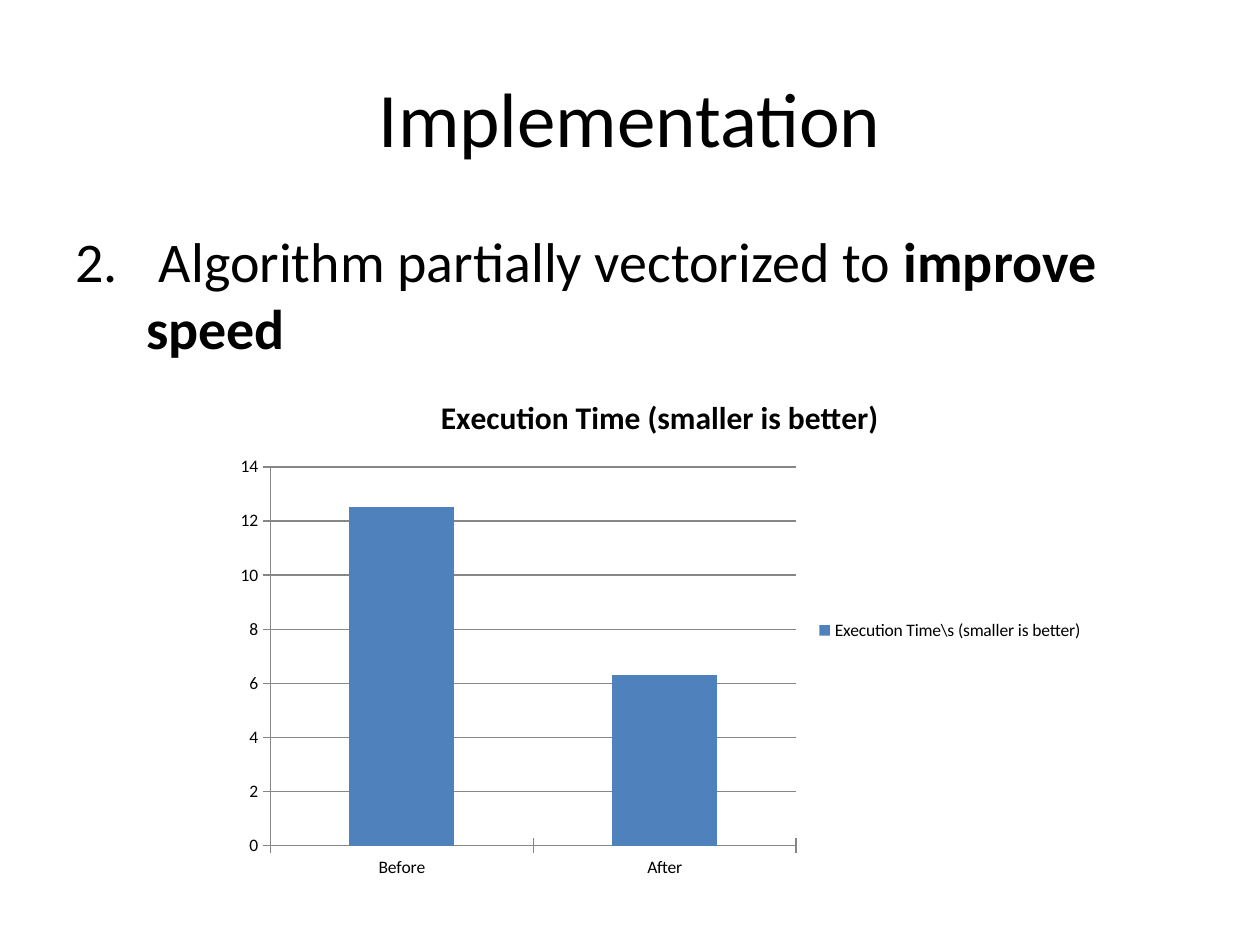
from pptx import Presentation
from pptx.chart.data import CategoryChartData
from pptx.dml.color import RGBColor
from pptx.enum.chart import XL_CHART_TYPE, XL_LEGEND_POSITION, XL_TICK_MARK
from pptx.enum.text import MSO_ANCHOR, PP_ALIGN
from pptx.util import Pt
from lxml import etree

COLUMN = XL_CHART_TYPE.COLUMN_CLUSTERED
RIGHT = XL_LEGEND_POSITION.RIGHT
CROSS = XL_TICK_MARK.CROSS
MIDDLE = MSO_ANCHOR.MIDDLE
TOP = MSO_ANCHOR.TOP
CENTER = PP_ALIGN.CENTER
LEFT = PP_ALIGN.LEFT

FONT = "Calibri"
COLORS = {"text": "000000", "bar": "4F81BD", "axis": "868686"}
A = "{http://schemas.openxmlformats.org/drawingml/2006/main}"


class Deck:
    def __init__(self, width, height):
        self.prs = Presentation()
        self.prs.slide_width, self.prs.slide_height = Pt(width), Pt(height)
        self.s = self.prs.slides.add_slide(self.prs.slide_layouts[6])

    def color(self, name):
        return RGBColor.from_string(COLORS[name])

    def font(self, font, size, bold=None):
        font.name, font.size, font.bold = FONT, Pt(size), bold
        font.color.rgb = self.color("text")

    def text(self, box, runs, size, align=LEFT, anchor=TOP):
        """Add one paragraph made of (text, bold) runs."""
        tf = self.s.shapes.add_textbox(*map(Pt, box)).text_frame
        tf.word_wrap, tf.vertical_anchor = True, anchor
        p = tf.paragraphs[0]
        p.alignment = align
        self.font(p.font, size)
        for words, bold in runs:
            r = p.add_run()
            r.text = words
            r.font.bold = bold
        return p

    def number(self, p, start, indent):
        """Turn a paragraph into a numbered item with a hanging indent."""
        pPr = p._p.get_or_add_pPr()
        pPr.set("marL", str(Pt(indent)))
        pPr.set("indent", str(-Pt(indent)))
        bullet = etree.Element(A + "buAutoNum", type="arabicPeriod", startAt=str(start))
        pPr.find(A + "defRPr").addprevious(bullet)

    def column_chart(self, box, title, categories, name, values):
        data = CategoryChartData()
        data.categories = categories
        data.add_series(name, values)
        chart = self.s.shapes.add_chart(COLUMN, *map(Pt, box), data).chart
        self.font(chart.font, 10)

        # Title and legend
        chart.has_title = True
        tf = chart.chart_title.text_frame
        tf.text = title
        self.font(tf.paragraphs[0].font, 18, True)
        chart.has_legend = True
        chart.legend.position = RIGHT
        chart.legend.include_in_layout = False

        # Axes and gridlines
        for axis in (chart.category_axis, chart.value_axis):
            axis.major_tick_mark = CROSS
            axis.format.line.color.rgb = self.color("axis")
        chart.value_axis.has_major_gridlines = True
        chart.value_axis.major_gridlines.format.line.color.rgb = self.color("axis")

        # Columns
        plot = chart.plots[0]
        plot.vary_by_categories = False
        plot.gap_width = 150
        fill = plot.series[0].format.fill
        fill.solid()
        fill.fore_color.rgb = self.color("bar")


def main():
    deck = Deck(720, 540)

    # Title
    deck.text((36, 21.6, 648, 90), [("Implementation", None)], 44, CENTER, MIDDLE)

    # Numbered point
    p = deck.text((36, 126, 648, 356.4),
                  [(" Algorithm partially vectorized to ", None), ("improve speed", True)], 32)
    p.space_before = Pt(6.4)
    deck.number(p, 2, 40.5)

    # Execution time chart
    deck.column_chart((127.5, 213, 499, 294.5), "Execution Time (smaller is better)",
                      ("Before", "After"), "Execution Time\\s (smaller is better)", (12.5, 6.3))

    deck.prs.save("out.pptx")


if __name__ == "__main__":
    main()
